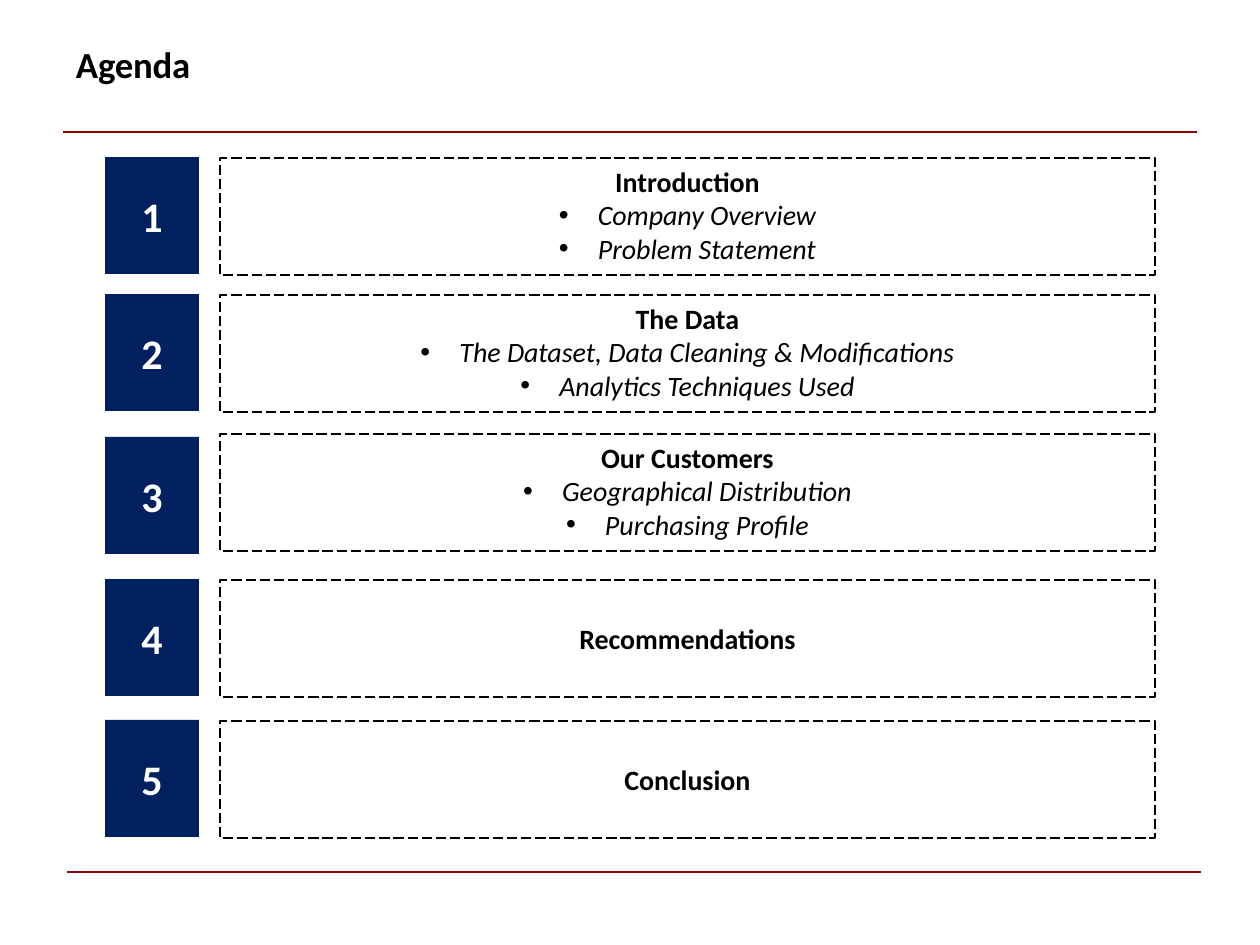
from lxml.etree import SubElement
from pptx import Presentation
from pptx.dml.color import RGBColor
from pptx.enum.dml import MSO_LINE
from pptx.enum.shapes import MSO_CONNECTOR, MSO_SHAPE
from pptx.enum.text import MSO_ANCHOR, PP_ALIGN
from pptx.oxml.ns import qn
from pptx.util import Pt

TITLE = "Agenda"
SECTIONS = [
    ("Introduction", ["Company Overview", "Problem Statement"], 157, 158),
    ("The Data", ["The Dataset, Data Cleaning & Modifications",
                  "Analytics Techniques Used"], 294, 295),
    ("Our Customers", ["Geographical Distribution", "Purchasing Profile"], 437, 434),
    ("Recommendations", [], 579, 580),
    ("Conclusion", [], 720, 721),
]
RULES = [(63, 132), (67, 872)]
RULE_WIDTH = 1134
NUMBER_LEFT, NUMBER_WIDTH = 105, 94
TOPIC_LEFT, TOPIC_WIDTH = 220, 935
ROW_HEIGHT = 117
BULLET_INDENT = 39
FONT = "Calibri"
BLACK, WHITE, NAVY, RULE_COLOR = "000000", "FFFFFF", "002060", "950000"


def px(count):
    return round(count * 914400 / 126)


def color(value):
    return RGBColor.from_string(value)


def add_span(para, text, size, fill, bold=True, italic=False):
    span = para.add_run()
    span.text = text
    span.font.name = FONT
    span.font.size = Pt(size)
    span.font.bold = bold
    span.font.italic = italic
    span.font.color.rgb = color(fill)
    return span


def add_box(page, left, top, width):
    box = page.shapes.add_shape(MSO_SHAPE.RECTANGLE, px(left), px(top),
                                px(width), px(ROW_HEIGHT))
    box.shadow.inherit = False
    box.text_frame.word_wrap = True
    box.text_frame.vertical_anchor = MSO_ANCHOR.MIDDLE
    box.text_frame.paragraphs[0].alignment = PP_ALIGN.CENTER
    return box


def add_number(page, number, top):
    box = add_box(page, NUMBER_LEFT, top, NUMBER_WIDTH)
    box.fill.solid()
    box.fill.fore_color.rgb = color(NAVY)
    box.line.fill.background()
    add_span(box.text_frame.paragraphs[0], str(number), 24, WHITE)


def add_bullet(frame, text):
    para = frame.add_paragraph()
    para.alignment = PP_ALIGN.CENTER
    properties = para._p.get_or_add_pPr()
    properties.set("marL", str(px(BULLET_INDENT)))
    properties.set("indent", str(-px(BULLET_INDENT)))
    SubElement(properties, qn("a:buFont"), typeface="Arial")
    SubElement(properties, qn("a:buChar"), char="•")
    add_span(para, text, 16, BLACK, bold=False, italic=True)


def add_topic(page, heading, points, top):
    box = add_box(page, TOPIC_LEFT, top, TOPIC_WIDTH)
    box.fill.background()
    box.line.color.rgb = color(BLACK)
    box.line.width = Pt(0.75)
    box.line.dash_style = MSO_LINE.LONG_DASH
    frame = box.text_frame
    add_span(frame.paragraphs[0], heading, 16, BLACK)
    if points:
        frame.vertical_anchor = MSO_ANCHOR.TOP
    for point in points:
        add_bullet(frame, point)


def add_rule(page, left, top):
    rule = page.shapes.add_connector(MSO_CONNECTOR.STRAIGHT, px(left), px(top),
                                     px(left + RULE_WIDTH), px(top))
    rule.line.color.rgb = color(RULE_COLOR)
    rule.line.width = Pt(0.72)
    SubElement(rule._element.spPr, qn("a:effectLst"))


def set_title(page):
    title = page.shapes.title
    title.left, title.top, title.width, title.height = px(74), px(43), px(644), px(81)
    frame = title.text_frame
    frame.margin_left = frame.margin_right = frame.margin_bottom = 0
    frame.margin_top = px(1)
    frame.vertical_anchor = MSO_ANCHOR.TOP
    para = frame.paragraphs[0]
    para.alignment = PP_ALIGN.LEFT
    para.line_spacing = Pt(23.8)
    para._p.get_or_add_pPr().set("marL", str(px(2)))
    span = add_span(para, TITLE, 21, BLACK)
    span.font._element.set("spc", "-10")


def main():
    deck = Presentation()
    deck.slide_width, deck.slide_height = px(1260), px(945)
    page = deck.slides.add_slide(deck.slide_layouts[5])
    for left, top in RULES:
        add_rule(page, left, top)
    set_title(page)
    for number, (heading, points, number_top, topic_top) in enumerate(SECTIONS, 1):
        add_number(page, number, number_top)
        add_topic(page, heading, points, topic_top)
    deck.save("out.pptx")


if __name__ == "__main__":
    main()
